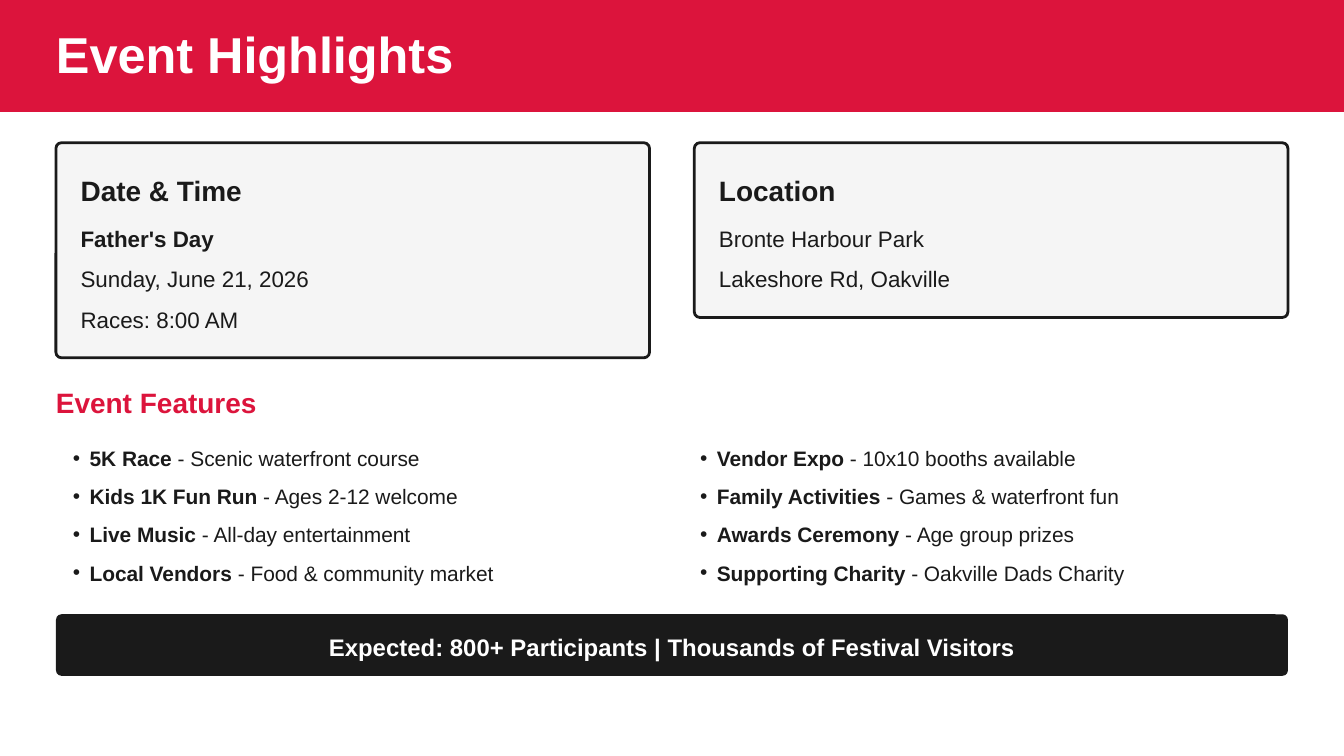
import pptx
import pptx.util
from pptx.dml.color import RGBColor
from pptx.enum.shapes import MSO_SHAPE
from pptx.enum.text import MSO_ANCHOR, MSO_AUTO_SIZE, PP_ALIGN
from pptx.oxml.xmlchemy import OxmlElement

Pt = pptx.util.Pt
CRIMSON = RGBColor(0xDC, 0x14, 0x3C)
INK = RGBColor(0x1A, 0x1A, 0x1A)
PALE = RGBColor(0xF5, 0xF5, 0xF5)
WHITE = RGBColor(0xFF, 0xFF, 0xFF)

COLS, ROWS = 240, 135
UNIT = pptx.util.Inches(10) / COLS
MARGIN = 10
CONTENT_W = COLS - 2 * MARGIN
CARD_W, LIST_W = 106, 108

CARDS = [
    ("Date & Time", ["Father's Day", "Sunday, June 21, 2026", "Races: 8:00 AM"], {"Father's Day"}),
    ("Location", ["Bronte Harbour Park", "Lakeshore Rd, Oakville"], set()),
]
FEATURES = [
    [("5K Race", "Scenic waterfront course"),
     ("Kids 1K Fun Run", "Ages 2-12 welcome"),
     ("Live Music", "All-day entertainment"),
     ("Local Vendors", "Food & community market")],
    [("Vendor Expo", "10x10 booths available"),
     ("Family Activities", "Games & waterfront fun"),
     ("Awards Ceremony", "Age group prizes"),
     ("Supporting Charity", "Oakville Dads Charity")],
]


def grid(*lengths):
    return [round(n * UNIT) for n in lengths]


def add_panel(s, box, fill, line=None, rounded=True):
    kind = MSO_SHAPE.ROUNDED_RECTANGLE if rounded else MSO_SHAPE.RECTANGLE
    sp = s.shapes.add_shape(kind, *grid(*box))
    sp.shadow.inherit = False
    if rounded:
        sp.adjustments[0] = 1 / box[3]  # corner radius of one grid unit
    sp.fill.solid()
    sp.fill.fore_color.rgb = fill
    if line is None:
        sp.line.fill.background()
    else:
        sp.line.color.rgb = line
        sp.line.width = Pt(1.5)
    return sp


def prepare_frame(sp, left_inset=0):
    tf = sp.text_frame
    tf.word_wrap = True
    tf.auto_size = MSO_AUTO_SIZE.NONE
    tf.vertical_anchor = MSO_ANCHOR.TOP
    tf.margin_left = Pt(left_inset)
    tf.margin_top = tf.margin_right = tf.margin_bottom = 0
    return tf


def style(p, size, leading, color=INK, bold=None, before=0, after=0, align=PP_ALIGN.LEFT):
    p.font.name = "Arial"
    p.font.size = Pt(size)
    p.font.bold = bold
    p.font.color.rgb = color
    p.line_spacing = Pt(leading)
    p.space_before, p.space_after = Pt(before), Pt(after)
    p.alignment = align


def add_text(s, box, text, size, leading, **look):
    p = prepare_frame(s.shapes.add_textbox(*grid(*box))).paragraphs[0]
    p.text = text
    style(p, size, leading, **look)


def place(sp, box):
    sp.left, sp.top, sp.width, sp.height = grid(*box)


def header(s, box):
    x, y, w, h = box
    band = add_panel(s, box, CRIMSON, rounded=False)
    s.shapes.element.insert(2, band.element)  # behind the title
    title = s.shapes.title
    place(title, (x + MARGIN, y + h / 4, 112.5, h / 2))
    p = prepare_frame(title).paragraphs[0]
    p.text = "Event Highlights"
    style(p, 27, 30, WHITE, bold=True)


def card(s, x, y, w, heading, lines, strong):
    """Draw a card whose height follows from its number of lines."""
    pitch, pad = 7.2, 4.4
    add_panel(s, (x, y, w, 16.8 + pitch * len(lines)), PALE, INK)
    add_text(s, (x + pad, y + 4.5, 50, 7), heading, 15, 21, bold=True, after=7.5)
    for i, line in enumerate(lines):
        add_text(s, (x + pad, y + 13.9 + i * pitch, 99, 5.6), line, 12, 16.8, bold=line in strong)


def add_bullet(p):
    pPr = p._p.get_or_add_pPr()
    pPr.set("marL", str(Pt(9)))
    pPr.set("indent", str(-Pt(9)))
    bu = OxmlElement("a:buChar")
    bu.set("char", "•")
    pPr.insert_element_before(bu, "a:tabLst", "a:defRPr", "a:extLst")


def feature_list(body, box, items):
    place(body, box)
    tf = prepare_frame(body, left_inset=9)
    for i, (name, detail) in enumerate(items):
        p = tf.add_paragraph() if i else tf.paragraphs[0]
        style(p, 11.2, 17.5, after=3)
        add_bullet(p)
        r = p.add_run()
        r.text = name
        r.font.bold = True
        p.add_run().text = f" - {detail}"


def banner(s, box):
    x, y, w, h = box
    add_panel(s, box, INK)
    add_text(s, (x + 3, y + 2.5, w - 6, 6),
             "Expected: 800+ Participants | Thousands of Festival Visitors",
             12.8, 17.9, color=WHITE, bold=True, align=PP_ALIGN.CENTER)


def main():
    prs = pptx.Presentation()
    prs.slide_width, prs.slide_height = grid(COLS, ROWS)
    s = prs.slides.add_slide(prs.slide_layouts.get_by_name("Two Content"))
    right = COLS - MARGIN

    header(s, (0, 0, COLS, 20))
    for x, content in zip((MARGIN, right - CARD_W), CARDS):
        card(s, x, 25.5, CARD_W, *content)
    add_text(s, (MARGIN, 67.8, 112.5, 7), "Event Features", 15, 21,
             color=CRIMSON, bold=True, before=6, after=4.5)
    for i, (x, items) in enumerate(zip((MARGIN, right - LIST_W), FEATURES), 1):
        feature_list(s.placeholders[i], (x, 78.2, LIST_W, 29.2), items)
    banner(s, (MARGIN, 109.7, CONTENT_W, 11))
    prs.save("out.pptx")


if __name__ == "__main__":
    main()
